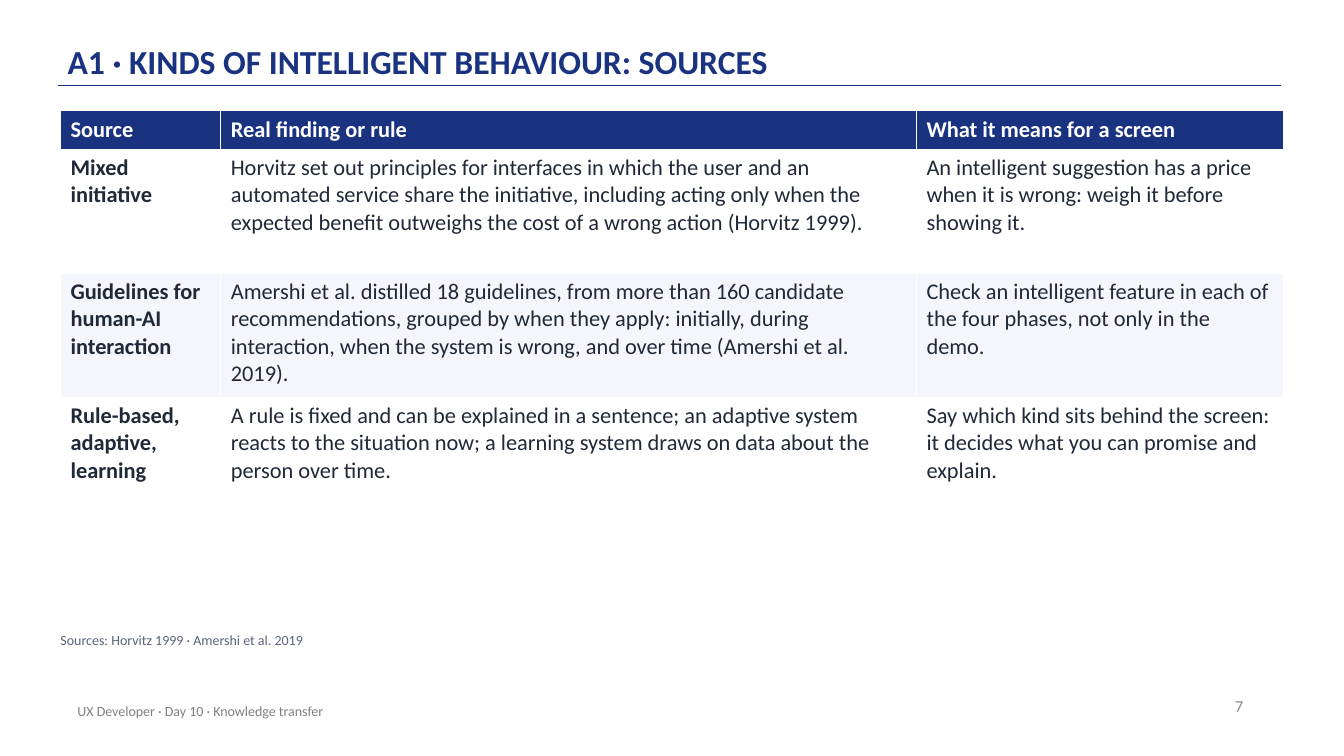
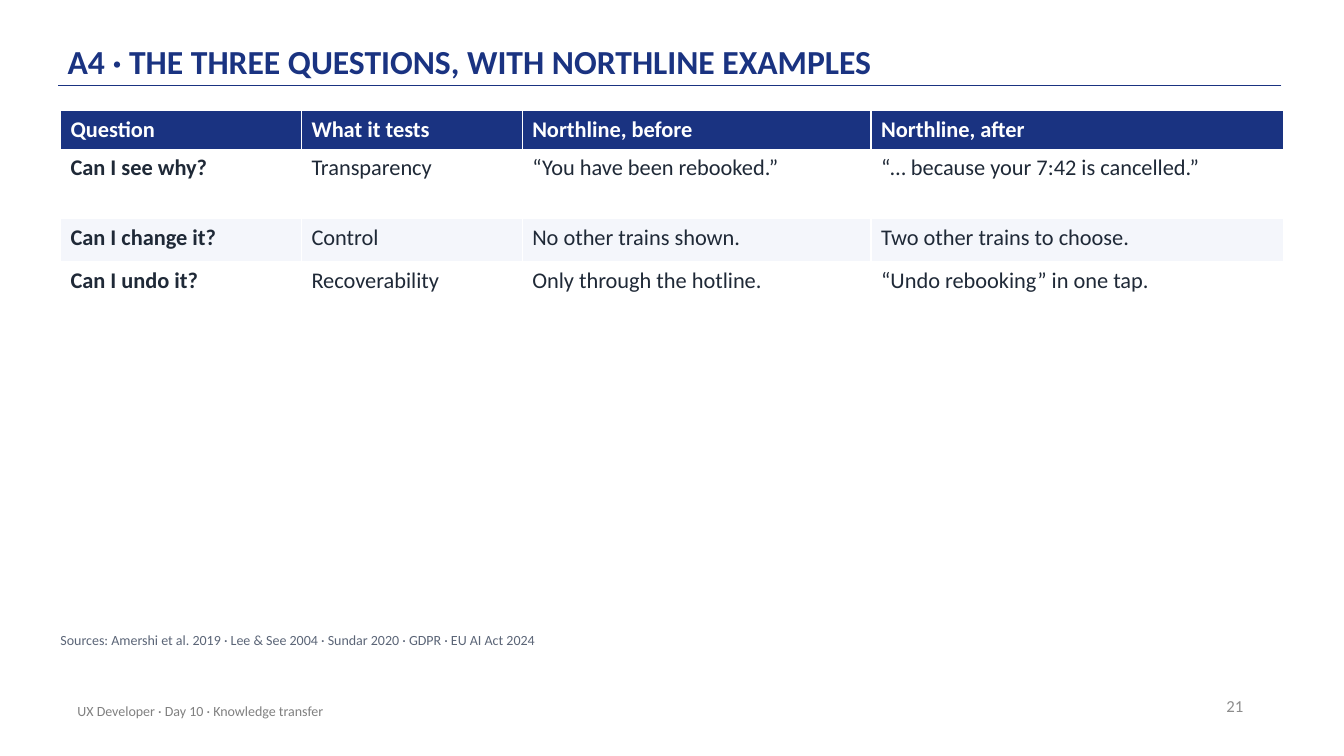
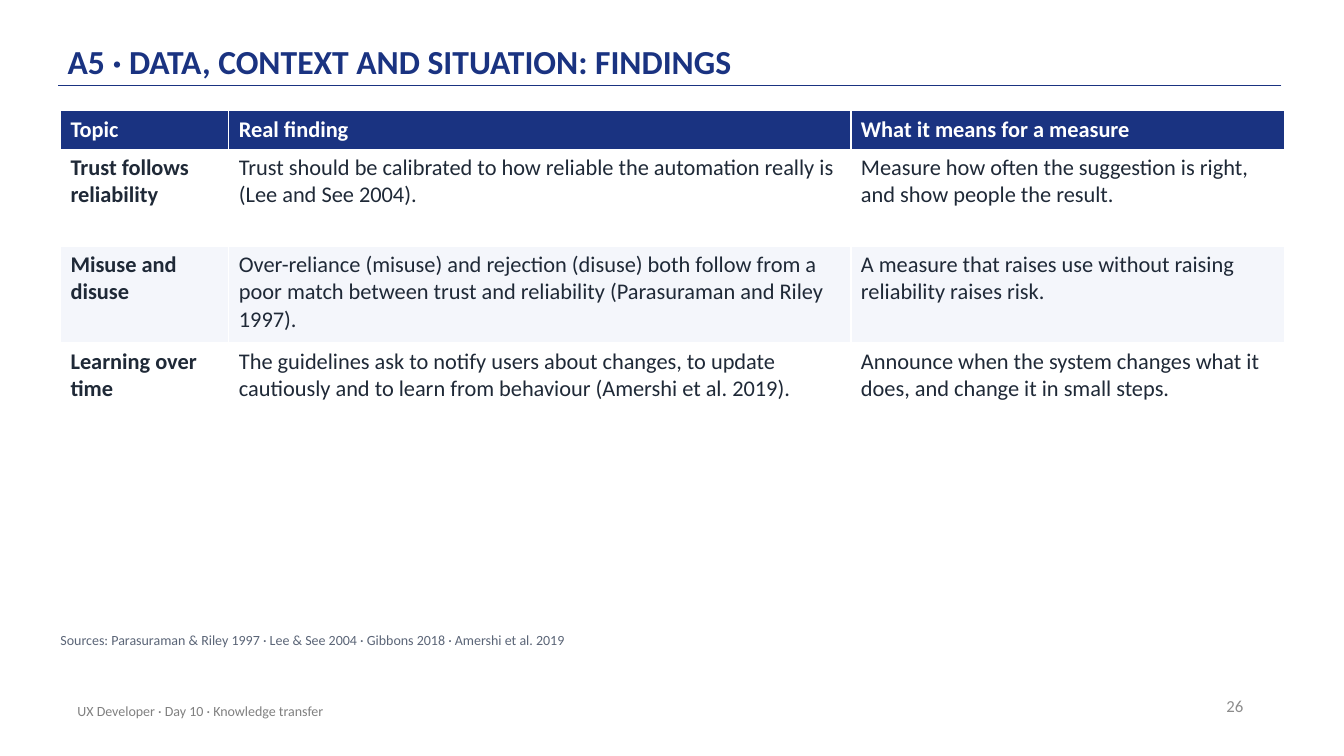
from pptx import Presentation
from pptx.dml.color import RGBColor
from pptx.enum import shapes, text
from pptx.oxml import xmlchemy
from pptx.util import Inches, Pt

FONT = "Calibri"
COLORS = {
    "navy": "1A3381",
    "ink": "1F2937",
    "white": "FFFFFF",
    "band": "F4F6FB",
    "source": "5B6577",
    "footer": "808080",
    "number": "8C8C8C",
}
FOOTER = "UX Developer · Day 10 · Knowledge transfer"
HEADER_HEIGHT = 0.38

SLIDES = [
    {
        "number": 7,
        "title": "A1 · KINDS OF INTELLIGENT BEHAVIOUR: SOURCES",
        "widths": [1.59, 6.9, 3.64],
        "heights": [1.23, 1.23, 0.96],
        "rows": [
            ("Source", "Real finding or rule", "What it means for a screen"),
            ("Mixed initiative",
             "Horvitz set out principles for interfaces in which the user and an automated "
             "service share the initiative, including acting only when the expected benefit "
             "outweighs the cost of a wrong action (Horvitz 1999).",
             "An intelligent suggestion has a price when it is wrong: weigh it before showing it."),
            ("Guidelines for human-AI interaction",
             "Amershi et al. distilled 18 guidelines, from more than 160 candidate "
             "recommendations, grouped by when they apply: initially, during interaction, "
             "when the system is wrong, and over time (Amershi et al. 2019).",
             "Check an intelligent feature in each of the four phases, not only in the demo."),
            ("Rule-based, adaptive, learning",
             "A rule is fixed and can be explained in a sentence; an adaptive system reacts to "
             "the situation now; a learning system draws on data about the person over time.",
             "Say which kind sits behind the screen: it decides what you can promise and explain."),
        ],
        "sources": "Sources: Horvitz 1999 · Amershi et al. 2019",
    },
    {
        "number": 21,
        "title": "A4 · THE THREE QUESTIONS, WITH NORTHLINE EXAMPLES",
        "widths": [2.39, 2.19, 3.46, 4.09],
        "heights": [0.69, 0.43, 0.43],
        "rows": [
            ("Question", "What it tests", "Northline, before", "Northline, after"),
            ("Can I see why?", "Transparency", "“You have been rebooked.”",
             "“… because your 7:42 is cancelled.”"),
            ("Can I change it?", "Control", "No other trains shown.",
             "Two other trains to choose."),
            ("Can I undo it?", "Recoverability", "Only through the hotline.",
             "“Undo rebooking” in one tap."),
        ],
        "sources": "Sources: Amershi et al. 2019 · Lee & See 2004 · Sundar 2020 · GDPR · EU AI Act 2024",
    },
    {
        "number": 26,
        "title": "A5 · DATA, CONTEXT AND SITUATION: FINDINGS",
        "widths": [1.67, 6.17, 4.3],
        "heights": [0.96, 0.96, 0.96],
        "rows": [
            ("Topic", "Real finding", "What it means for a measure"),
            ("Trust follows reliability",
             "Trust should be calibrated to how reliable the automation really is "
             "(Lee and See 2004).",
             "Measure how often the suggestion is right, and show people the result."),
            ("Misuse and disuse",
             "Over-reliance (misuse) and rejection (disuse) both follow from a poor match "
             "between trust and reliability (Parasuraman and Riley 1997).",
             "A measure that raises use without raising reliability raises risk."),
            ("Learning over time",
             "The guidelines ask to notify users about changes, to update cautiously and to "
             "learn from behaviour (Amershi et al. 2019).",
             "Announce when the system changes what it does, and change it in small steps."),
        ],
        "sources": "Sources: Parasuraman & Riley 1997 · Lee & See 2004 · Gibbons 2018 · Amershi et al. 2019",
    },
]


def rgb(name):
    return RGBColor.from_string(COLORS[name])


def write(frame, content, size, color, bold=False, align=text.PP_ALIGN.LEFT,
          line_spacing=None, space_after=None):
    paragraph = frame.paragraphs[0]
    paragraph.alignment = align
    if line_spacing is not None:
        paragraph.line_spacing = line_spacing
    if space_after is not None:
        paragraph.space_after = Pt(space_after)
    run = paragraph.add_run()
    run.text = content
    run.font.name = FONT
    run.font.size = Pt(size)
    run.font.bold = bold
    run.font.color.rgb = rgb(color)


def set_margins(frame, horizontal, vertical):
    frame.margin_left = frame.margin_right = Inches(horizontal)
    frame.margin_top = frame.margin_bottom = Inches(vertical)


def add_text_box(slide, left, top, width, height, anchor=text.MSO_ANCHOR.MIDDLE):
    box = slide.shapes.add_textbox(Inches(left), Inches(top), Inches(width), Inches(height))
    box.text_frame.word_wrap = True
    box.text_frame.vertical_anchor = anchor
    return box.text_frame


def format_layout_title(layout):
    """Place the title once, so that every slide inherits it."""
    title = layout.placeholders[0]
    title.left, title.top = Inches(0.67), Inches(0.12)
    title.width, title.height = Inches(11), Inches(0.72)
    title.text_frame.vertical_anchor = text.MSO_ANCHOR.BOTTOM
    set_margins(title.text_frame, 0, 0.03)


def add_frame(slide, content):
    """Add the title, rule, page number, footer and sources line."""
    rule = slide.shapes.add_connector(shapes.MSO_CONNECTOR.STRAIGHT, Inches(12.71), Inches(0.85),
                                      Inches(0.58), Inches(0.85))
    rule.line.color.rgb = rgb("navy")
    rule.line.width = Pt(1)
    rule._element.spPr.append(xmlchemy.OxmlElement("a:effectLst"))

    write(slide.shapes.title.text_frame, content["title"], 24, "navy", bold=True,
          line_spacing=0.9)
    write(add_text_box(slide, 9.43, 6.8, 3, 0.4), str(content["number"]), 12, "number",
          align=text.PP_ALIGN.RIGHT)
    write(add_text_box(slide, 0.67, 6.85, 6.7, 0.4), FOOTER, 10, "footer")

    sources = add_text_box(slide, 0.6, 6.27, 12.1, 0.3, anchor=text.MSO_ANCHOR.TOP)
    sources.auto_size = text.MSO_AUTO_SIZE.SHAPE_TO_FIT_TEXT
    set_margins(sources, 0, 0)
    write(sources, content["sources"], 10, "source", space_after=6)


def add_findings_table(slide, rows, widths, heights):
    heights = [HEADER_HEIGHT, *heights]
    table = slide.shapes.add_table(len(rows), len(widths), Inches(0.6), Inches(1.1),
                                   Inches(sum(widths)), Inches(sum(heights))).table
    table.horz_banding = False
    for column, width in zip(table.columns, widths):
        column.width = Inches(width)
    for row_index, (row, height, values) in enumerate(zip(table.rows, heights, rows)):
        row.height = Inches(height)
        header = row_index == 0
        fill = "navy" if header else "white" if row_index % 2 else "band"
        for column_index, (cell, value) in enumerate(zip(row.cells, values)):
            cell.fill.solid()
            cell.fill.fore_color.rgb = rgb(fill)
            write(cell.text_frame, value, 16, "white" if header else "ink",
                  bold=header or column_index == 0)


def main():
    presentation = Presentation()
    presentation.slide_width = Inches(13.33)
    presentation.slide_height = Inches(7.5)
    layout = presentation.slide_layouts.get_by_name("Title Only")
    format_layout_title(layout)
    for content in SLIDES:
        slide = presentation.slides.add_slide(layout)
        add_frame(slide, content)
        add_findings_table(slide, content["rows"], content["widths"], content["heights"])
    presentation.save("out.pptx")


if __name__ == "__main__":
    main()
